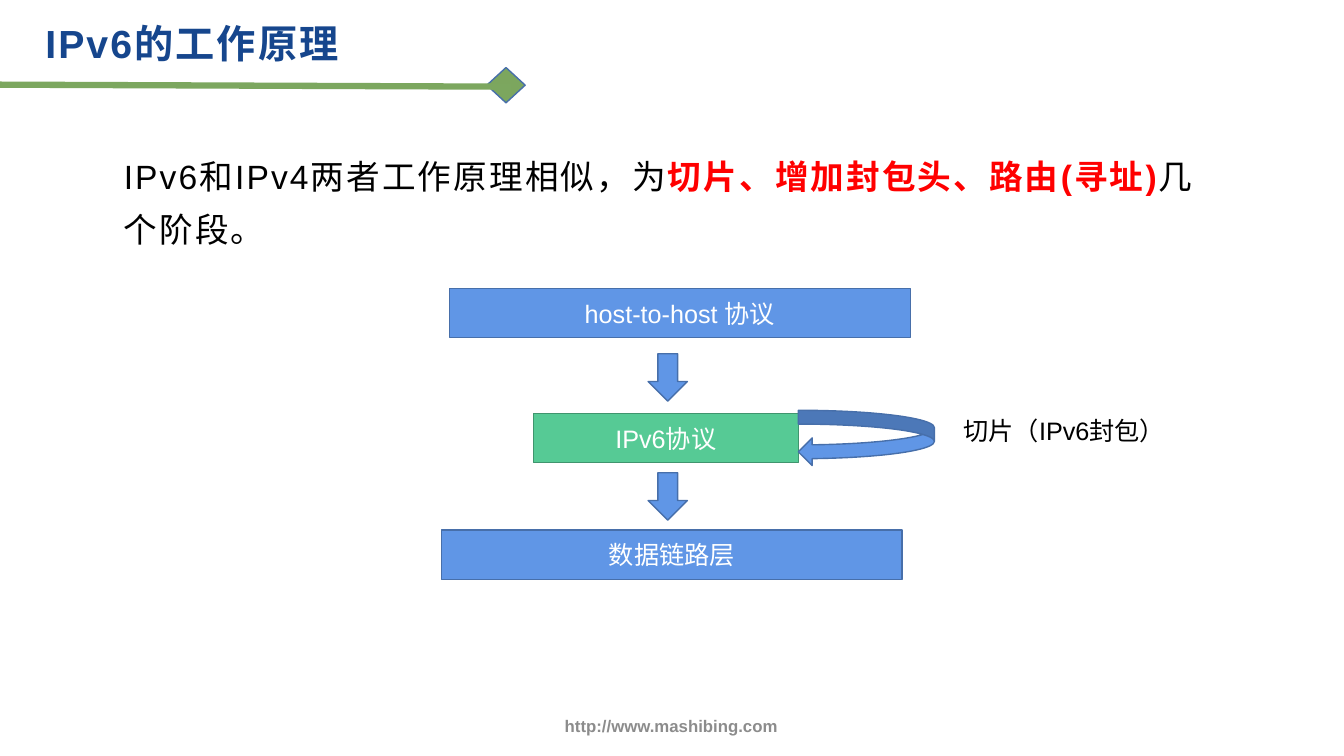
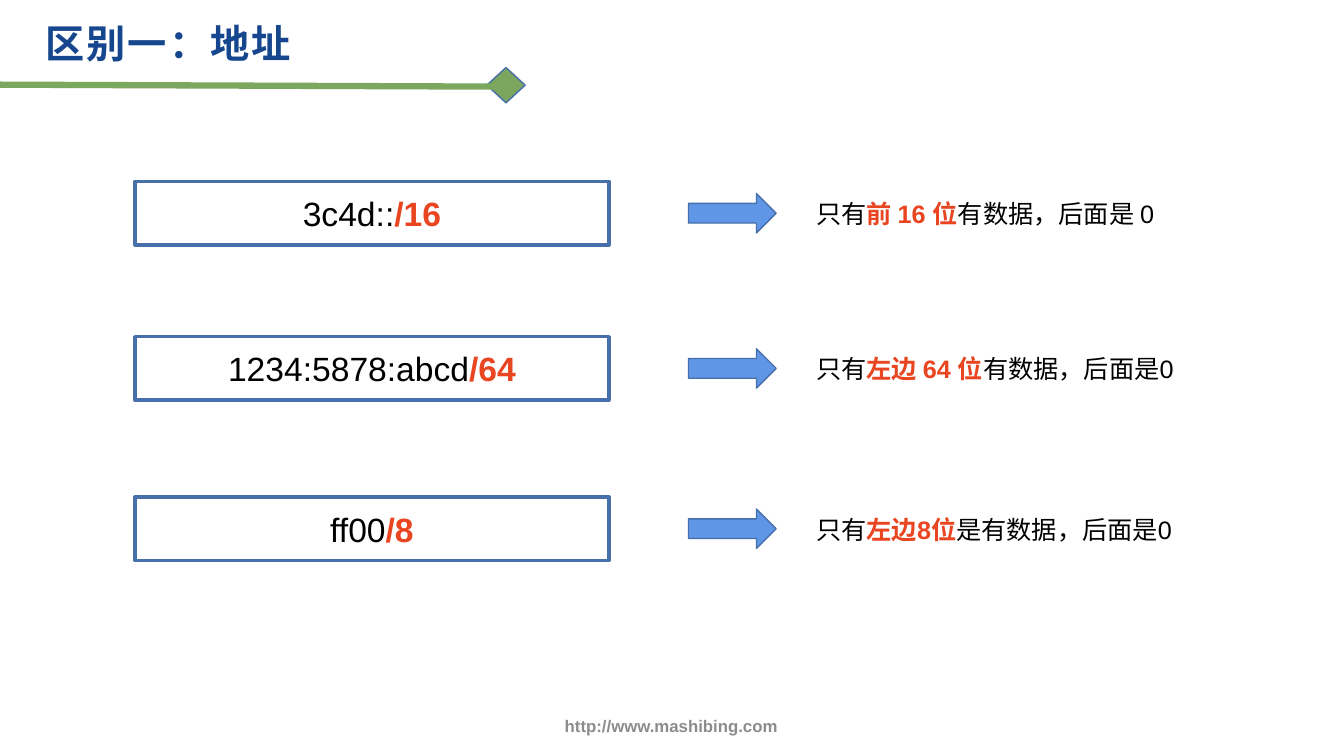
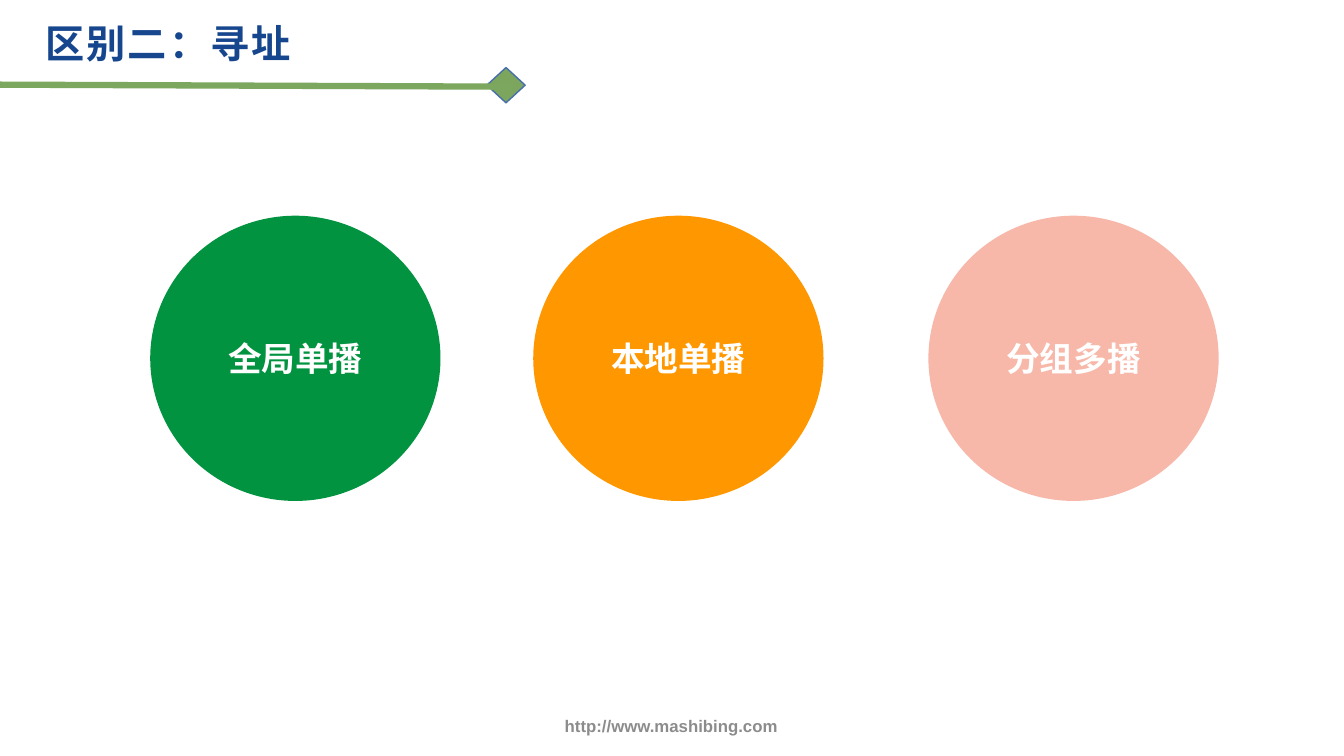
from dataclasses import dataclass
from typing import NamedTuple

from lxml.etree import SubElement
from pptx import Presentation
from pptx.dml.color import RGBColor
from pptx.enum.lang import MSO_LANGUAGE_ID as Lang
from pptx.enum.shapes import MSO_CONNECTOR as Connector, MSO_SHAPE as Shape
from pptx.enum.text import MSO_ANCHOR as Anchor, MSO_AUTO_SIZE as AutoSize, PP_ALIGN as Align
from pptx.oxml.ns import qn
from pptx.util import Inches, Pt

WIDTH, HEIGHT = Inches(13.33), Inches(7.5)
COLUMNS, ROWS = 40, 30
FONT = "Arial"
COLORS = {
    "title": "16468D",
    "rule": "7CA75F",
    "diamond": "7CA65E",
    "footer": "8C8C8C",
    "blue": "6096E6",
    "blue edge": "476FAA",
    "mint": "56CA95",
    "mint edge": "40956E",
    "black": "000000",
    "white": "FFFFFF",
    "red": "FF0000",
    "prefix": "E94520",
    "green": "019340",
    "orange": "FF9800",
    "pink": "F7B8A9",
}


class Box(NamedTuple):
    """A place in grid columns and rows."""
    left: float
    top: float
    width: float
    height: float


class Run(NamedTuple):
    text: str
    color: str = "black"
    bold: bool = False


@dataclass(frozen=True)
class TextStyle:
    size: float
    align: Align = Align.LEFT
    anchor: Anchor = Anchor.TOP
    spacing: float = 0
    line_spacing: float = 1.0
    space_after: float = 0


@dataclass(frozen=True)
class Look:
    fill: str | None = None
    edge: str | None = None
    edge_width: float = 1


@dataclass(frozen=True)
class AddressRow:
    top: float
    address: str
    prefix: str
    note: tuple[Run, ...]
    note_width: float


@dataclass(frozen=True)
class Circle:
    left: float
    caption: str
    color: str


TITLE = TextStyle(28, spacing=1.5, line_spacing=1.3, space_after=6)
LEAD = TextStyle(24, spacing=1.5, line_spacing=1.3, space_after=6)
NOTE = TextStyle(18)
FOOTER = TextStyle(12, Align.CENTER, Anchor.MIDDLE)
LABEL = TextStyle(18, Align.CENTER, Anchor.MIDDLE)
LARGE_LABEL = TextStyle(24, Align.CENTER, Anchor.MIDDLE)

BLUE = Look("blue", "blue edge")
MINT = Look("mint", "mint edge")
FRAME = Look(edge="blue edge", edge_width=2.5)

ADDRESS_ROWS = [
    AddressRow(7.2, "3c4d::", "/16",
               (Run("只有"), Run("前 16 位", "prefix", True), Run("有数据，后面是 0")), 10.74),
    AddressRow(13.36, "1234:5878:abcd", "/64",
               (Run("只有"), Run("左边 64 位", "prefix", True), Run("有数据，后面是0")), 11.28),
    AddressRow(19.72, "ff00", "/8",
               (Run("只有"), Run("左边8位", "prefix", True), Run("是有数据，后面是0")), 11.19),
]
CIRCLES = [
    Circle(4.47, "全局单播", "green"),
    Circle(15.87, "本地单播", "orange"),
    Circle(27.63, "分组多播", "pink"),
]


def rgb(name: str) -> RGBColor:
    return RGBColor.from_string(COLORS[name])


def across(columns: float) -> int:
    return round(WIDTH * columns / COLUMNS)


def down(rows: float) -> int:
    return round(HEIGHT * rows / ROWS)


def place(box: Box) -> tuple[int, int, int, int]:
    return across(box.left), down(box.top), across(box.width), down(box.height)


def set_all(target, values: dict) -> None:
    for name, value in values.items():
        setattr(target, name, value)


def write(holder, runs: tuple[Run, ...], style: TextStyle) -> None:
    """Fill a shape with one paragraph of formatted runs."""
    frame = holder.text_frame
    set_all(frame, {"word_wrap": True, "auto_size": AutoSize.NONE,
                    "vertical_anchor": style.anchor})
    paragraph = frame.paragraphs[0]
    set_all(paragraph, {"alignment": style.align, "line_spacing": style.line_spacing,
                        "space_after": Pt(style.space_after)})
    for part in runs:
        run = paragraph.add_run()
        run.text = part.text
        set_all(run.font, {"name": FONT, "size": Pt(style.size), "bold": part.bold,
                           "language_id": Lang.SIMPLIFIED_CHINESE})
        run.font.color.rgb = rgb(part.color)
        if style.spacing:
            run._r.get_or_add_rPr().set("spc", str(round(style.spacing * 100)))


def add_text(slide, box: Box, runs: tuple[Run, ...], style: TextStyle):
    holder = slide.shapes.add_textbox(*place(box))
    write(holder, runs, style)
    return holder


def add_figure(slide, kind: Shape, box: Box, look: Look,
               runs: tuple[Run, ...] = (), style: TextStyle = LABEL):
    figure = slide.shapes.add_shape(kind, *place(box))
    figure.shadow.inherit = False
    if look.fill:
        figure.fill.solid()
        figure.fill.fore_color.rgb = rgb(look.fill)
    else:
        figure.fill.background()
    if look.edge:
        figure.line.color.rgb = rgb(look.edge)
        figure.line.width = Pt(look.edge_width)
    else:
        figure.line.fill.background()
    if runs:
        write(figure, runs, style)
    return figure


def add_rule(slide):
    rule = slide.shapes.add_connector(
        Connector.STRAIGHT, 0, down(3.36), across(15.21), down(3.44))
    rule.line.color.rgb = rgb("rule")
    rule.line.width = Pt(4.5)
    SubElement(rule.element.spPr, qn("a:effectLst"))
    return rule


def decorate_layout(slide) -> None:
    """Draw the shared parts, then move them to the layout of the slide."""
    shared = [
        add_figure(slide, Shape.DIAMOND, Box(14.49, 2.68, 1.14, 1.4),
                   Look("diamond", "blue edge")),
        add_text(slide, Box(12.9, 27.6, 14.16, 2.4),
                 (Run("http://www.mashibing.com", "footer", True),), FOOTER),
        add_rule(slide),
    ]
    for part in shared:
        slide.slide_layout.shapes.element.append(part.element)


def add_titled_slide(deck, title: str):
    slide = deck.slides.add_slide(deck.slide_layouts[5])
    heading = slide.shapes.title
    set_all(heading, dict(zip(("left", "top", "width", "height"),
                              place(Box(1.05, 0, 16.53, 3)))))
    write(heading, (Run(title, "title", True),), TITLE)
    return slide


def draw_principle(slide) -> None:
    add_text(slide, Box(3.39, 5.52, 33.09, 18.92), (
        Run("IPv6和IPv4两者工作原理相似，为"),
        Run("切片、增加封包头、路由(寻址)", "red", True),
        Run("几个阶段。"),
    ), LEAD)
    layers = [
        ("host-to-host 协议", Box(13.38, 11.44, 13.71, 1.96), BLUE),
        ("IPv6协议", Box(15.87, 16.4, 7.89, 1.96), MINT),
        ("数据链路层", Box(13.14, 21.04, 13.71, 1.96), BLUE),
    ]
    for name, box, look in layers:
        add_figure(slide, Shape.RECTANGLE, box, look, (Run(name, "white"),))
    for top in (14.04, 18.76):
        add_figure(slide, Shape.DOWN_ARROW, Box(19.29, top, 1.17, 1.88), BLUE)
    add_figure(slide, Shape.CURVED_LEFT_ARROW, Box(23.76, 16.28, 4.05, 2.2), BLUE)
    add_text(slide, Box(28.38, 16.28, 6.6, 1.6), (Run("切片（IPv6封包）"),), NOTE)


def draw_addresses(slide) -> None:
    for row in ADDRESS_ROWS:
        inner_top = row.top + 0.48
        add_figure(slide, Shape.RECTANGLE, Box(4.02, row.top, 14.1, 2.52), FRAME,
                   (Run(row.address), Run(row.prefix, "prefix", True)), LARGE_LABEL)
        add_figure(slide, Shape.RIGHT_ARROW, Box(20.49, inner_top, 2.61, 1.56), BLUE)
        add_text(slide, Box(24, inner_top, row.note_width, 1.6), row.note, NOTE)


def draw_casting(slide) -> None:
    for circle in CIRCLES:
        add_figure(slide, Shape.OVAL, Box(circle.left, 8.56, 8.64, 11.32),
                   Look(circle.color), (Run(circle.caption, "white", True),), LARGE_LABEL)


def main() -> None:
    deck = Presentation()
    set_all(deck, {"slide_width": WIDTH, "slide_height": HEIGHT})
    pages = [
        ("IPv6的工作原理", draw_principle),
        ("区别一：地址", draw_addresses),
        ("区别二：寻址", draw_casting),
    ]
    for title, draw in pages:
        draw(add_titled_slide(deck, title))
    decorate_layout(deck.slides[0])
    deck.save("out.pptx")


if __name__ == "__main__":
    main()
